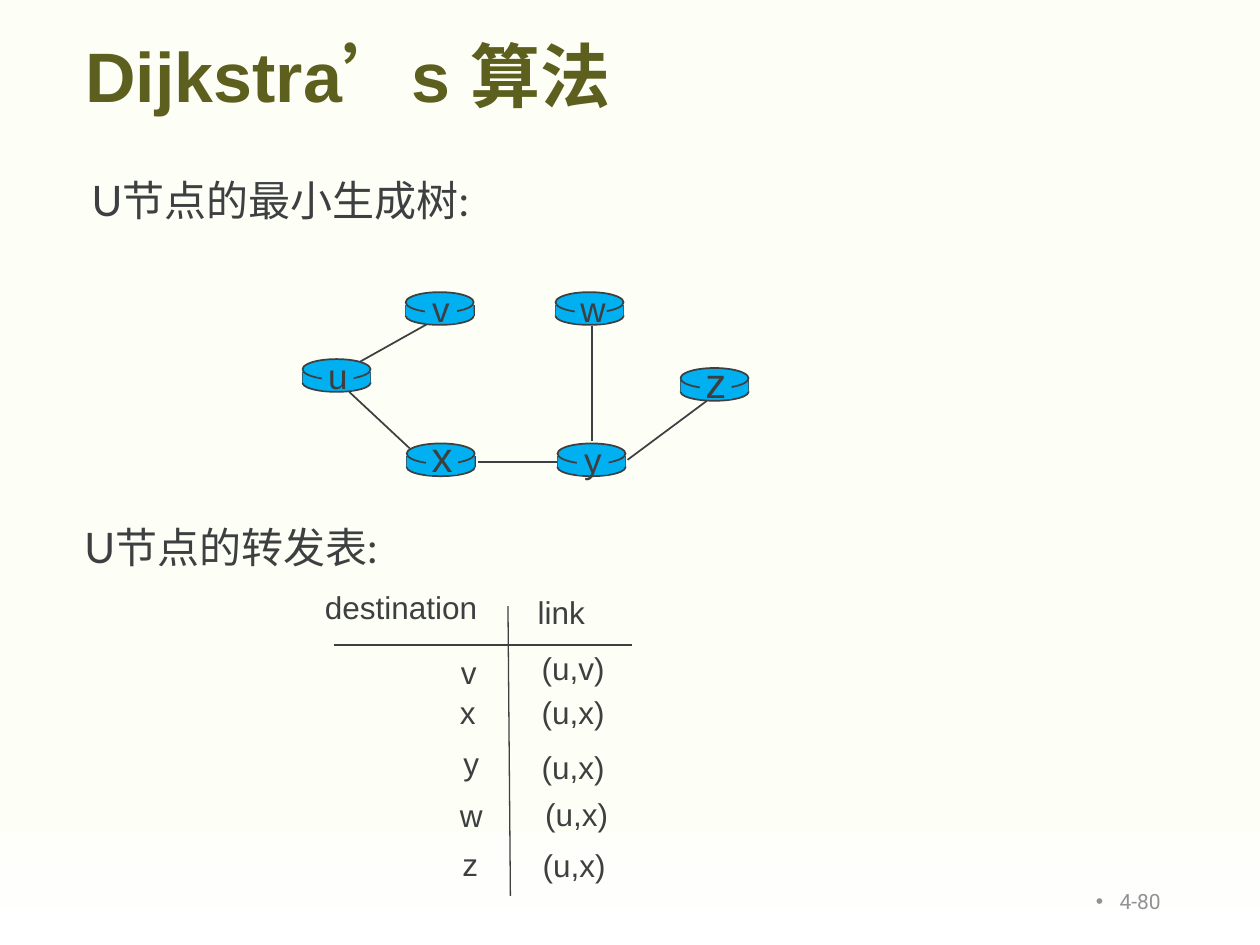
from lxml import etree
from pptx import Presentation
from pptx.dml.color import RGBColor
from pptx.enum.lang import MSO_LANGUAGE_ID
from pptx.enum.shapes import MSO_CONNECTOR, MSO_SHAPE
from pptx.enum.text import MSO_ANCHOR, MSO_AUTO_SIZE, PP_ALIGN
from pptx.oxml.ns import qn
from pptx.util import Cm, Pt

LINE = MSO_CONNECTOR.STRAIGHT
OVAL, RECT = MSO_SHAPE.OVAL, MSO_SHAPE.RECTANGLE
LEFT, CENTER, RIGHT = PP_ALIGN.LEFT, PP_ALIGN.CENTER, PP_ALIGN.RIGHT
CHINESE = MSO_LANGUAGE_ID.SIMPLIFIED_CHINESE

COLORS = {"ink": "3D3F41", "title": "5D5F1F", "router": "00B0F0",
          "page": "919293", "cream": "FDFFF7", "white": "FFFFFF"}

# Content; all lengths in centimetres
TITLE = "Dijkstra’s 算法"
PAGE = "4-80"
HEADINGS = [("U节点的最小生成树:", 1.6, 3.4, 8.2),
            ("U节点的转发表:", 1.45, 10.39, 6.5)]

# name, left, top, label size, label centre below the top
ROUTERS = [("u", 6.1, 7.24, 20, 0.32), ("x", 8.2, 8.94, 24, 0.25),
           ("v", 8.18, 5.89, 20, 0.32), ("w", 11.2, 5.89, 20, 0.32),
           ("y", 11.24, 8.94, 20, 0.32), ("z", 13.72, 7.42, 24, 0.28)]
TREE_LINKS = [(7.26, 7.29, 8.76, 6.45),      # u-v
              (7.04, 7.9, 8.26, 9.04),       # u-x
              (9.63, 9.32, 11.25, 9.32),     # x-y
              (11.94, 6.58, 11.94, 8.89),    # w-y
              (12.65, 9.27, 14.25, 8.08)]    # y-z

TABLE_RULES = [(10.24, 12.22, 10.29, 18.06), (6.73, 13, 12.75, 13)]
# text, left, top, width
TABLE_HEADS = [("destination", 6.3, 11.73, 3.58), ("link", 10.59, 11.84, 1.47)]
DESTINATIONS = [("v", 9.04, 13.03, 0.84), ("x", 9.02, 13.84, 0.84),
                ("y", 9.09, 14.88, 0.84), ("w", 9.02, 15.93, 0.97),
                ("z", 9.07, 16.92, 0.84)]
FORWARD_LINKS = [("(u,v)", 10.67, 12.95, 1.78), ("(u,x)", 10.67, 13.84, 1.78),
                 ("(u,x)", 10.67, 14.96, 1.78), ("(u,x)", 10.74, 15.9, 1.78),
                 ("(u,x)", 10.69, 16.94, 1.78)]

ROUTER_W, LABEL_X = 1.37, 0.71


def color(name):
    return RGBColor.from_string(COLORS[name])


def style(p, size, font="Arial", ink="ink", bold=False):
    for r in p.runs:
        r.font.size, r.font.name, r.font.bold = Pt(size), font, bold
        r.font.color.rgb = color(ink)


def add_line(s, x1, y1, x2, y2, width=1):
    line = s.shapes.add_connector(LINE, Cm(x1), Cm(y1), Cm(x2), Cm(y2))
    line.line.color.rgb = color("ink")
    line.line.width = Pt(width)
    etree.SubElement(line._element.spPr, qn("a:effectLst"))


def add_block(s, kind, x, y, w, h, outlined=False):
    sp = s.shapes.add_shape(kind, Cm(x), Cm(y), Cm(w), Cm(h))
    sp.shadow.inherit = False
    sp.fill.solid()
    sp.fill.fore_color.rgb = color("router")
    if outlined:
        sp.line.color.rgb = color("ink")
        sp.line.width = Pt(1)
    else:
        sp.line.fill.background()


def add_text(s, text, x, y, w, h=1.02, size=18, font="Arial", align=LEFT):
    sp = s.shapes.add_textbox(Cm(x), Cm(y), Cm(w), Cm(h))
    tf = sp.text_frame
    tf.word_wrap = False
    tf.auto_size = MSO_AUTO_SIZE.SHAPE_TO_FIT_TEXT
    p = tf.paragraphs[0]
    p.text = text
    p.alignment = align
    style(p, size, font)


def add_router(s, name, x, y, size, label_dy):
    # Disc: lower rim, sides, body, lid, then a patch behind the label
    add_block(s, OVAL, x, y + 0.3, ROUTER_W, 0.36, outlined=True)
    for side in (x, x + ROUTER_W):
        add_line(s, side, y + 0.25, side, y + 0.48)
    add_block(s, RECT, x, y + 0.25, ROUTER_W, 0.23)
    add_block(s, OVAL, x, y, ROUTER_W, 0.41, outlined=True)
    add_block(s, RECT, x + LABEL_X - 0.32, y + 0.05, 0.64, 0.58)
    w, h = 0.92, (1.09 if size == 20 else 1.27)
    add_text(s, name, x + LABEL_X - w / 2, y + label_dy - h / 2, w, h, size,
             align=CENTER)


def add_page_number(s):
    sp = s.shapes.add_textbox(Cm(17.93), Cm(17.65), Cm(5.72), Cm(1.02))
    tf = sp.text_frame
    tf.word_wrap = True
    tf.vertical_anchor = MSO_ANCHOR.MIDDLE
    p = tf.paragraphs[0]
    p.text = PAGE
    p.alignment = RIGHT
    pPr = p._p.get_or_add_pPr()
    pPr.set("marL", str(Cm(0.48)))
    pPr.set("indent", str(-Cm(0.48)))
    etree.SubElement(pPr, qn("a:buFont"), typeface="Arial")
    etree.SubElement(pPr, qn("a:buChar"), char="•")
    style(p, 12, "Roboto", "page")


def main():
    prs = Presentation()
    prs.slide_width, prs.slide_height = Cm(25.4), Cm(19.05)
    s = prs.slides.add_slide(prs.slide_layouts[5])

    # Background fading to white at the bottom
    fill = s.background.fill
    fill.gradient()
    fill.gradient_angle = 270
    for stop, position, name in zip(fill.gradient_stops, (0.84, 1), ("cream", "white")):
        stop.position = position
        stop.color.rgb = color(name)

    # Title
    title = s.shapes.title
    title.left, title.top, title.width, title.height = Cm(1.47), Cm(0.43), Cm(21.6), Cm(2.36)
    title.text_frame.text = TITLE
    title.text_frame.vertical_anchor = MSO_ANCHOR.MIDDLE
    p = title.text_frame.paragraphs[0]
    p.alignment, p.line_spacing = LEFT, 0.9
    style(p, 40, ink="title", bold=True)
    p.runs[0].font.language_id = CHINESE

    # Section headings
    for text, x, y, w in HEADINGS:
        add_text(s, text, x, y, w, 1.3, 24, "Lato")

    # Spanning tree
    for link in TREE_LINKS:
        add_line(s, *link)
    for router in ROUTERS:
        add_router(s, *router)

    # Forwarding table
    for rule in TABLE_RULES:
        add_line(s, *rule, width=0.75)
    for cell in TABLE_HEADS + DESTINATIONS + FORWARD_LINKS:
        add_text(s, *cell)

    add_page_number(s)
    prs.save("out.pptx")


if __name__ == "__main__":
    main()
